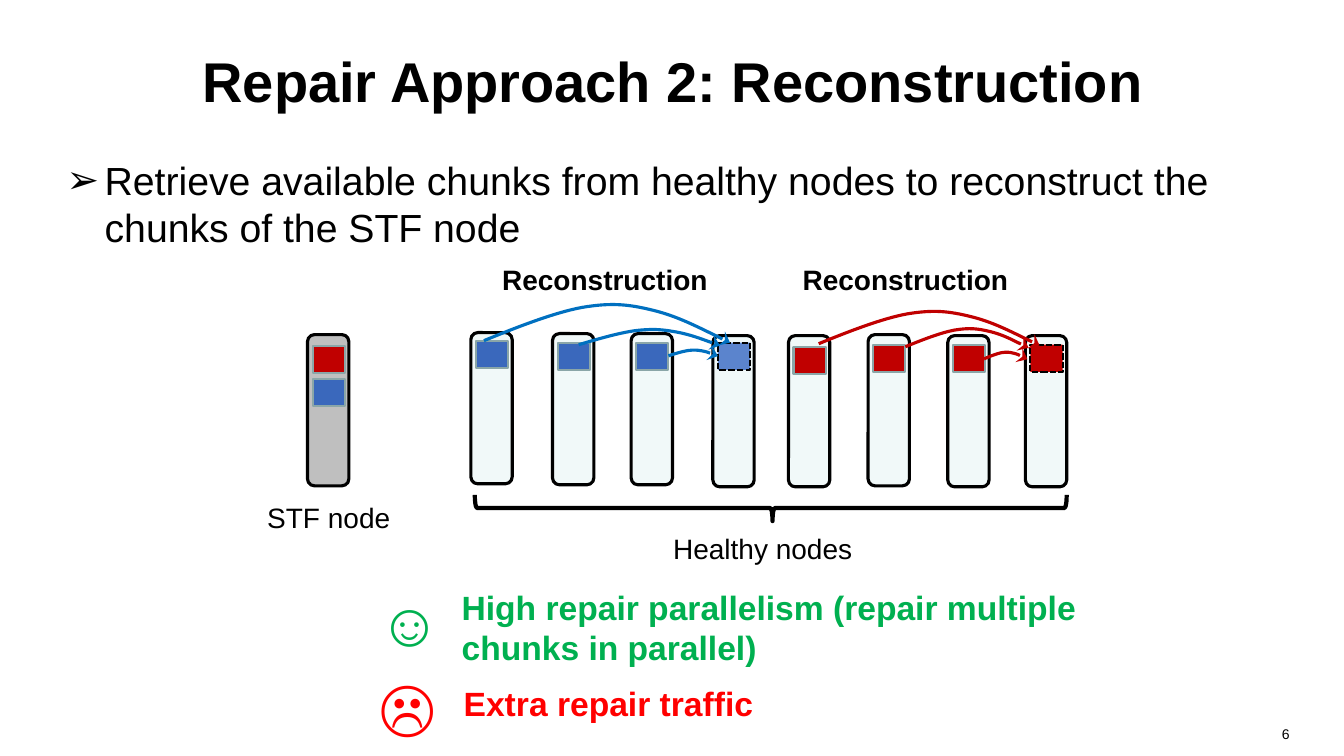
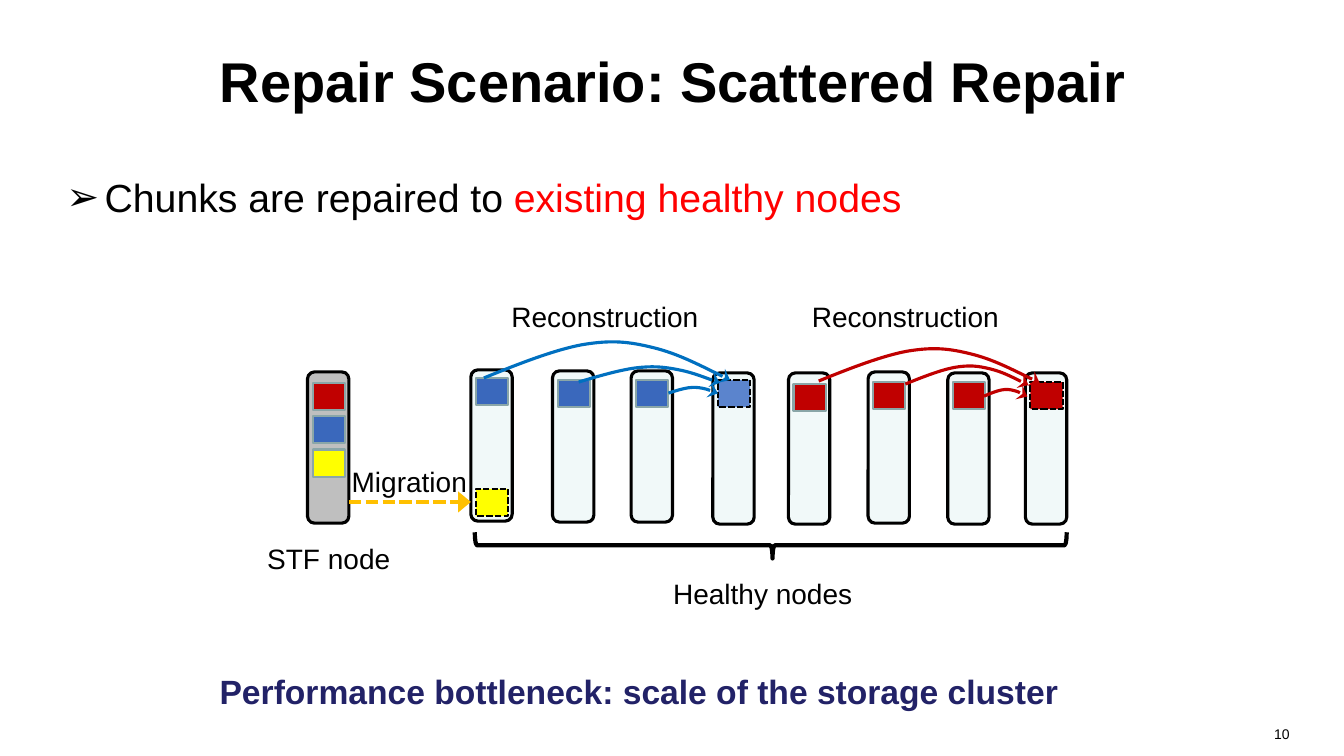
from collections import namedtuple

from lxml.etree import SubElement
from pptx import Presentation
from pptx.dml.color import RGBColor
from pptx.enum.dml import MSO_LINE
from pptx.enum.shapes import MSO_CONNECTOR, MSO_SHAPE
from pptx.enum.text import MSO_ANCHOR, PP_ALIGN
from pptx.oxml.ns import qn
from pptx.util import Pt

PX = 9144  # EMU in one px, 100 px to the inch
Box = namedtuple("Box", "left top width height")
Node = namedtuple("Node", "left top chunk_top color")
Arc = namedtuple("Arc", "left top width rise color")

COLORS = {
    "ink": "000000", "good": "00B050", "bad": "FF0000", "navy": "222267",
    "node": "F1F9F9", "failing": "BFBFBF", "chunk line": "8AA6A8",
    "blue": "3A68BC", "repaired blue": "5B84CD", "red": "C00000",
    "yellow": "FFFF00", "blue arc": "0070C0", "red arc": "C00000",
    "migration": "FFC000",
}
FONTS = {
    "title": {"size": Pt(40), "bold": True},
    "body": {"size": Pt(28), "bold": False},
    "remark": {"size": Pt(24), "bold": True},
    "label": {"size": Pt(20), "bold": False},
    "strong label": {"size": Pt(20), "bold": True},
    "face": {"size": Pt(44), "bold": False},
    "number": {"size": Pt(10), "bold": False},
}
TITLE_BOX = Box(67, 17, 1200, 125)
NUMBER_BOX = Box(978, 715, 311, 35)

# Everything below is measured from the top left corner of the cluster diagram.
NODE_SIZE = (41, 150)
CHUNK_SIZE = (32, 27)
CHUNK_INDENT = 5
FAILING_NODE = (0, 74)
FAILING_CHUNK_TOP, FAILING_CHUNK_STEP = 85, 33
HEALTHY_NODES = [
    Node(162, 72, 80, "blue"), Node(243, 73, 82, "blue"),
    Node(321, 73, 82, "blue"), Node(402, 75, 82, "repaired blue"),
    Node(477, 75, 86, "red"), Node(556, 74, 84, "red"),
    Node(635, 75, 84, "red"), Node(712, 75, 84, "red"),
]
REPAIRED = (3, 7)
ARCS = [
    Arc(175, 80, 244, 38, "blue arc"), Arc(269, 84, 140, 16, "blue arc"),
    Arc(358, 95, 49, 6, "blue arc"), Arc(507, 83, 219, 34, "red arc"),
    Arc(593, 86, 122, 19, "red arc"), Arc(671, 98, 43, 7, "red arc"),
]
# Three Bezier segments as shares of the width and of the rise of an arc.
ARC_POINTS = [(0.14, 0.37), (0.29, 0.74), (0.4, 0.87), (0.52, 1), (0.59, 0.95),
              (0.69, 0.79), (0.79, 0.63), (0.89, 0.29), (1, -0.05)]


def emu(*lengths):
    return [round(length * PX) for length in lengths]


def rgb(color):
    return RGBColor.from_string(COLORS[color])


def format_font(font, style, color):
    for name, value in {"name": "Arial", **FONTS[style]}.items():
        setattr(font, name, value)
    font.color.rgb = rgb(color)


def format_line(line, color, width, dash=None):
    line.color.rgb = rgb(color)
    line.width = Pt(width)
    if dash:
        line.dash_style = dash


def add_arrowhead(shape, kind):
    SubElement(shape.line._get_or_add_ln(), qn("a:tailEnd"),
               type=kind, w="lg", len="med")


def add_text(shapes, box, spans, style, align=PP_ALIGN.LEFT,
             anchor=MSO_ANCHOR.MIDDLE, wrap=True, inset=None):
    """Place one paragraph made of (text, color) spans and return it."""
    frame = shapes.add_textbox(*emu(*box)).text_frame
    frame.word_wrap = wrap
    frame.vertical_anchor = anchor
    if inset is not None:
        for side in ("left", "right", "top", "bottom"):
            setattr(frame, f"margin_{side}", inset * PX)
    para = frame.paragraphs[0]
    para.alignment = align
    for text, color in spans:
        span = para.add_run()
        span.text = text
        format_font(span.font, style, color)
    return para


def add_label(shapes, box, text, style="label"):
    add_text(shapes, box, [(text, "ink")], style, PP_ALIGN.CENTER)


def add_remark(page, box, text, color):
    add_text(page.shapes, box, [(text, color)], "remark", inset=10)


def add_face(page, box, face, color):
    add_text(page.shapes, box, [(face, color)], "face",
             anchor=MSO_ANCHOR.TOP, wrap=False)


def add_bullet(page, box, spans):
    para = add_text(page.shapes, box, spans, "body", anchor=MSO_ANCHOR.TOP)
    para.space_before = Pt(6)
    properties = para._p.get_or_add_pPr()
    properties.set("marL", str(38 * PX))
    properties.set("indent", str(-38 * PX))
    SubElement(properties, qn("a:buFont"), typeface="Arial")
    SubElement(properties, qn("a:buChar"), char="➢")


def add_block(shapes, kind, box, fill, line, width, dash=None):
    block = shapes.add_shape(kind, *emu(*box))
    block.shadow.inherit = False
    block.fill.solid()
    block.fill.fore_color.rgb = rgb(fill)
    format_line(block.line, line, width, dash)


def add_node(shapes, left, top, fill):
    add_block(shapes, MSO_SHAPE.ROUNDED_RECTANGLE, Box(left, top, *NODE_SIZE),
              fill, "ink", 2.25)


def add_chunk(shapes, node_left, top, color, repaired=False):
    line, dash = ("ink", MSO_LINE.SQUARE_DOT) if repaired else ("chunk line", None)
    add_block(shapes, MSO_SHAPE.RECTANGLE,
              Box(node_left + CHUNK_INDENT, top, *CHUNK_SIZE),
              color, line, 1.5, dash)


def add_arc(shapes, arc, left, top):
    """Draw a curved arrow; the outline's points become Bezier segments."""
    start_x, start_y = left + arc.left, top + arc.top
    builder = shapes.build_freeform(*emu(start_x, start_y))
    builder.add_line_segments(
        [emu(start_x + x * arc.width, start_y - y * arc.rise)
         for x, y in ARC_POINTS], close=False)
    shape = builder.convert_to_shape()
    outline = shape.element.find(".//" + qn("a:path"))
    outline.set("fill", "none")
    steps = outline.findall(qn("a:lnTo"))
    for first in range(0, len(steps), 3):
        curve = SubElement(outline, qn("a:cubicBezTo"))
        for step in steps[first:first + 3]:
            curve.append(step[0])
            outline.remove(step)
    shape.shadow.inherit = False
    shape.fill.background()
    format_line(shape.line, arc.color, 2.25)
    add_arrowhead(shape, "stealth")


def add_brace(shapes, left, top, width, height):
    """Draw a downward brace, a left brace turned about its centre."""
    turned = Box(left + (width - height) / 2, top - (width - height) / 2,
                 height, width)
    brace = shapes.add_shape(MSO_SHAPE.LEFT_BRACE, *emu(*turned))
    brace.rotation = 270
    brace.adjustments[0], brace.adjustments[1] = 0.083, 0.503
    brace.shadow.inherit = False
    brace.fill.background()
    format_line(brace.line, "ink", 3)


def add_migration(shapes, left, top):
    first = HEALTHY_NODES[0]
    add_chunk(shapes, left + first.left, top + 190, "yellow", True)
    add_label(shapes, Box(left + 33, top + 163, 136, 38), "Migration")
    arrow = shapes.add_connector(
        MSO_CONNECTOR.STRAIGHT,
        *emu(left + NODE_SIZE[0], top + 203, left + first.left, top + 203))
    format_line(arrow.line, "migration", 3, MSO_LINE.SQUARE_DOT)
    add_arrowhead(arrow, "triangle")
    SubElement(arrow.element.spPr, qn("a:effectLst"))


def add_cluster(page, left, top, failing_chunks, label_style,
                failing_label_top, healthy_label_top, migrates=False):
    shapes = page.shapes.add_group_shape().shapes
    failing_left, failing_top = left + FAILING_NODE[0], top + FAILING_NODE[1]
    add_node(shapes, failing_left, failing_top, "failing")
    for row, color in enumerate(failing_chunks):
        add_chunk(shapes, failing_left,
                  top + FAILING_CHUNK_TOP + row * FAILING_CHUNK_STEP, color)
    for index, node in enumerate(HEALTHY_NODES):
        add_node(shapes, left + node.left, top + node.top, "node")
        add_chunk(shapes, left + node.left, top + node.chunk_top, node.color,
                  index in REPAIRED)
    for arc in ARCS:
        add_arc(shapes, arc, left, top)
    for label_left in (181, 479):
        add_label(shapes, Box(left + label_left, top, 228, 38),
                  "Reconstruction", label_style)
    if migrates:
        add_migration(shapes, left, top)
    add_brace(shapes, left + 166, top + 233, 587, 26)
    add_label(shapes, Box(left - 58, top + failing_label_top, 158, 38), "STF node")
    add_label(shapes, Box(left + 306, top + healthy_label_top, 291, 38),
              "Healthy nodes")


def add_page(deck, title, number):
    page = deck.slides.add_slide(deck.slide_layouts[5])
    shape = page.shapes.title
    for name, value in zip(Box._fields, emu(*TITLE_BOX)):
        setattr(shape, name, value)
    shape.text_frame.text = title
    shape.text_frame.vertical_anchor = MSO_ANCHOR.MIDDLE
    para = shape.text_frame.paragraphs[0]
    para.alignment = PP_ALIGN.CENTER
    format_font(para.runs[0].font, "title", "ink")
    add_text(page.shapes, NUMBER_BOX, [(number, "ink")], "number",
             PP_ALIGN.RIGHT, MSO_ANCHOR.TOP)
    return page


def add_reconstruction_page(deck):
    page = add_page(deck, "Repair Approach 2: Reconstruction", "6")
    add_bullet(page, Box(56, 150, 1228, 255), [
        ("Retrieve available chunks from healthy nodes to reconstruct the "
         "chunks of the STF node", "ink")])
    add_cluster(page, 305, 258, ["red", "blue"], "strong label", 236, 267)
    add_remark(page, Box(448, 585, 635, 74),
               "High repair parallelism (repair multiple chunks in parallel)", "good")
    add_remark(page, Box(450, 659, 342, 77), "Extra repair traffic", "bad")
    add_face(page, Box(366, 575, 72, 84), "☺", "good")
    add_face(page, Box(367, 658, 72, 84), "☹", "bad")


def add_scattered_page(deck):
    page = add_page(deck, "Repair Scenario: Scattered Repair", "10")
    add_bullet(page, Box(56, 167, 1255, 238), [
        ("Chunks are repaired to ", "ink"), ("existing healthy nodes", "bad")])
    add_cluster(page, 305, 295, ["red", "blue", "yellow"], "label", 240, 275,
                migrates=True)
    add_remark(page, Box(208, 647, 950, 77),
               "Performance bottleneck: scale of the storage cluster", "navy")


def main():
    deck = Presentation()
    deck.slide_width, deck.slide_height = emu(1333, 750)
    add_reconstruction_page(deck)
    add_scattered_page(deck)
    deck.save("out.pptx")


if __name__ == "__main__":
    main()
